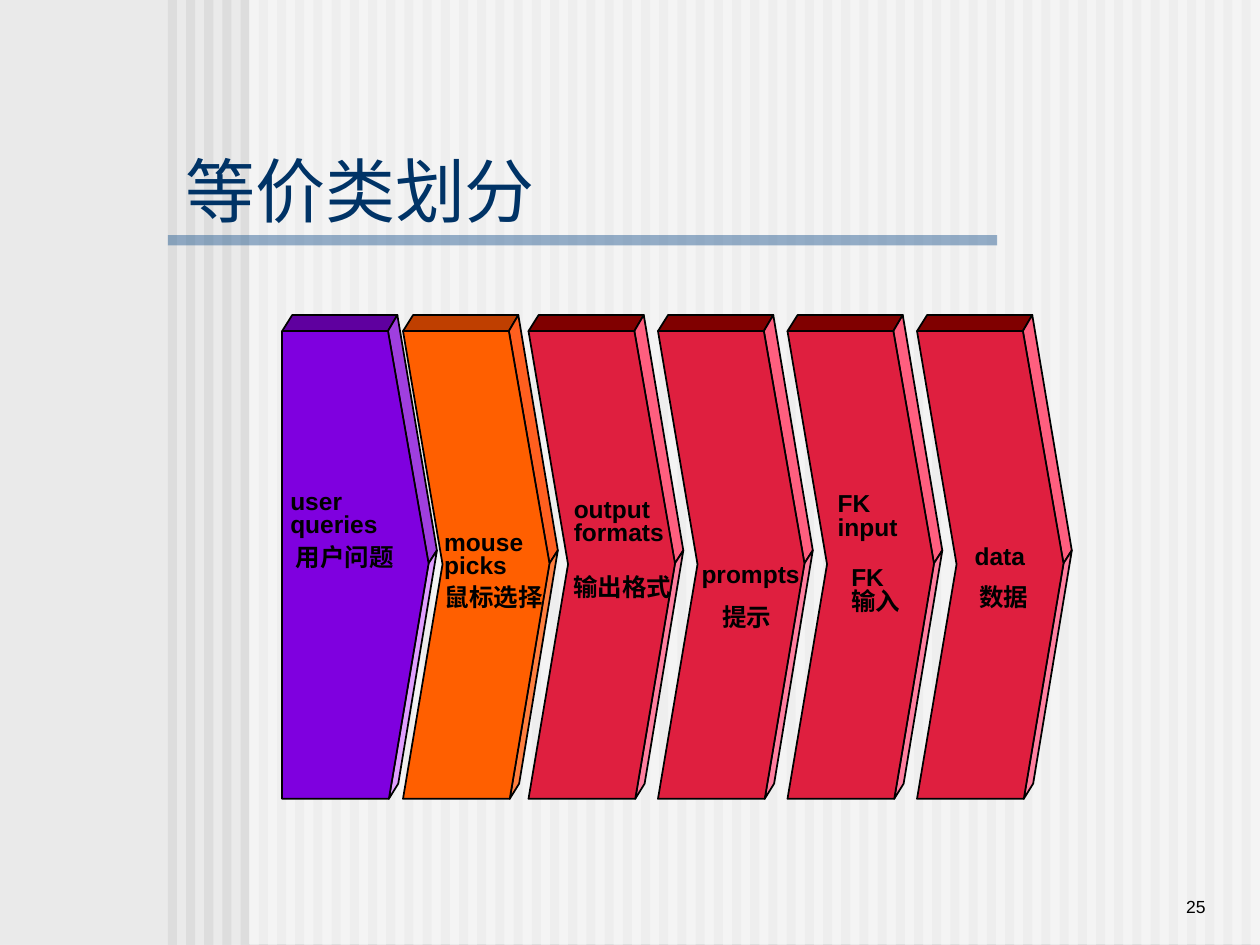
"""Build the equivalence partitioning slide with six chevron blocks."""
from pptx import Presentation
from pptx.dml.color import RGBColor
from pptx.enum.shapes import MSO_SHAPE as Shape
from pptx.enum.text import MSO_ANCHOR as Anchor, MSO_AUTO_SIZE as Fit, PP_ALIGN as Align
from pptx.oxml.xmlchemy import OxmlElement
from pptx.util import Pt

color = RGBColor.from_string


def add_band(left, top, width, height, fill, opacity=100):
    band = page.shapes.add_shape(Shape.RECTANGLE, Pt(left), Pt(top), Pt(width), Pt(height))
    band.shadow.inherit = False
    band.line.fill.background()
    band.fill.solid()
    band.fill.fore_color.rgb = color(fill)
    if opacity < 100:
        alpha = OxmlElement("a:alpha")
        alpha.set("val", str(opacity * 1000))
        band.fill._xPr.solidFill.srgbClr.append(alpha)


def add_text(left, top, width, height, lines, size, ink="000000"):
    box = page.shapes.add_textbox(Pt(left), Pt(top), Pt(width), Pt(height))
    frame = box.text_frame
    frame.word_wrap = True
    for index, line in enumerate(lines):
        para = frame.paragraphs[0] if index == 0 else frame.add_paragraph()
        span = para.add_run()
        span.text = line
        span.font.name = "Arial"
        span.font.size = Pt(size)
        span.font.color.rgb = color(ink)
    return frame


deck = Presentation()
deck.slide_width, deck.slide_height = Pt(720), Pt(540)
page = deck.slides.add_slide(deck.slide_layouts[6])
page.background.fill.solid()
page.background.fill.fore_color.rgb = color("EAEAEA")

for stripe in range(60):
    add_band(95.9 + 10.4 * stripe, 0, 5.2, 540, "DDDDDD")
add_band(142.4, -0.6, 577.6, 540, "FFFFFF", 50)
add_band(95.9, 134.4, 474, 5.8, "336699", 50)

number = add_text(594, 491.6, 102, 36, ["25"], 10)
number.vertical_anchor = Anchor.BOTTOM
number.paragraphs[0].alignment = Align.RIGHT
title = add_text(98.8, 95.8, 487, 25, ["等价类划分"], 40, "003366")
title.vertical_anchor = Anchor.MIDDLE

front_top, back_top = (60.5, 189.2), (65.9, 180)
front_tip, back_tip = (83.7, 322), (88.5, 314.5)
front_bottom, back_bottom = (61, 456.5), (66.4, 447.8)
corner, notch, base = (0, 189.2), (22.6, 322.5), (0, 456.5)
lid = [front_top, corner, (5.8, 180), back_top]
upper_side = [back_top, front_top, front_tip, back_tip]
lower_side = [back_tip, front_tip, front_bottom, back_bottom]
arrow_face = [front_top, corner, notch, base, front_bottom, front_tip]
flat_face = [point for point in arrow_face if point != notch]

purple = ["5F009F", "9F3FDF", "DF9FFF", "7F00DF"]
orange = ["BF3F00", "FF5F1F", "FF7F3F", "FF5F00"]
red = ["800000", "FF5F7F", "FF7F9F", "DF1F3F"]
blocks = [(161.2, flat_face, purple), (230.3, arrow_face, orange)]
blocks += [(302 + 74 * step, arrow_face, red) for step in range(4)]

for left, face, palette in blocks:
    for outline, fill in zip([lid, upper_side, lower_side, face], palette):
        points = [(Pt(left + x), Pt(y)) for x, y in outline]
        builder = page.shapes.build_freeform(*points[0])
        builder.add_line_segments(points[1:], close=True)
        side = builder.convert_to_shape()
        side.shadow.inherit = False
        side.fill.solid()
        side.fill.fore_color.rgb = color(fill)
        side.line.color.rgb = color("000000")
        side.line.width = Pt(1)

labels = [
    (162, 309.6, 72, ["用户问题"]),
    (247, 332.2, 72, ["鼠标选择"]),
    (320.4, 326.5, 72, ["输出格式"]),
    (405.6, 343.8, 44, ["提示"]),
    (479.4, 321.1, 44, ["FK", "输入"]),
    (552.6, 332.2, 44, ["数据"]),
    (158.8, 277.2, 68, ["user", "queries"]),
    (246.7, 300.8, 62, ["mouse", "picks"]),
    (320.8, 282, 70, ["output", "formats"]),
    (393.8, 319.2, 74, ["prompts"]),
    (471.6, 278.6, 52, ["FK", "input"]),
    (549.8, 308.9, 46, ["data"]),
]
for left, top, width, lines in labels:
    label = add_text(left, top, width, 6.6 + 13.6 * len(lines), lines, 14)
    label.word_wrap = False
    label.auto_size = Fit.SHAPE_TO_FIT_TEXT
    for para in label.paragraphs:
        para.line_spacing = 0.8
        para.runs[0].font.bold = True

deck.save("out.pptx")
